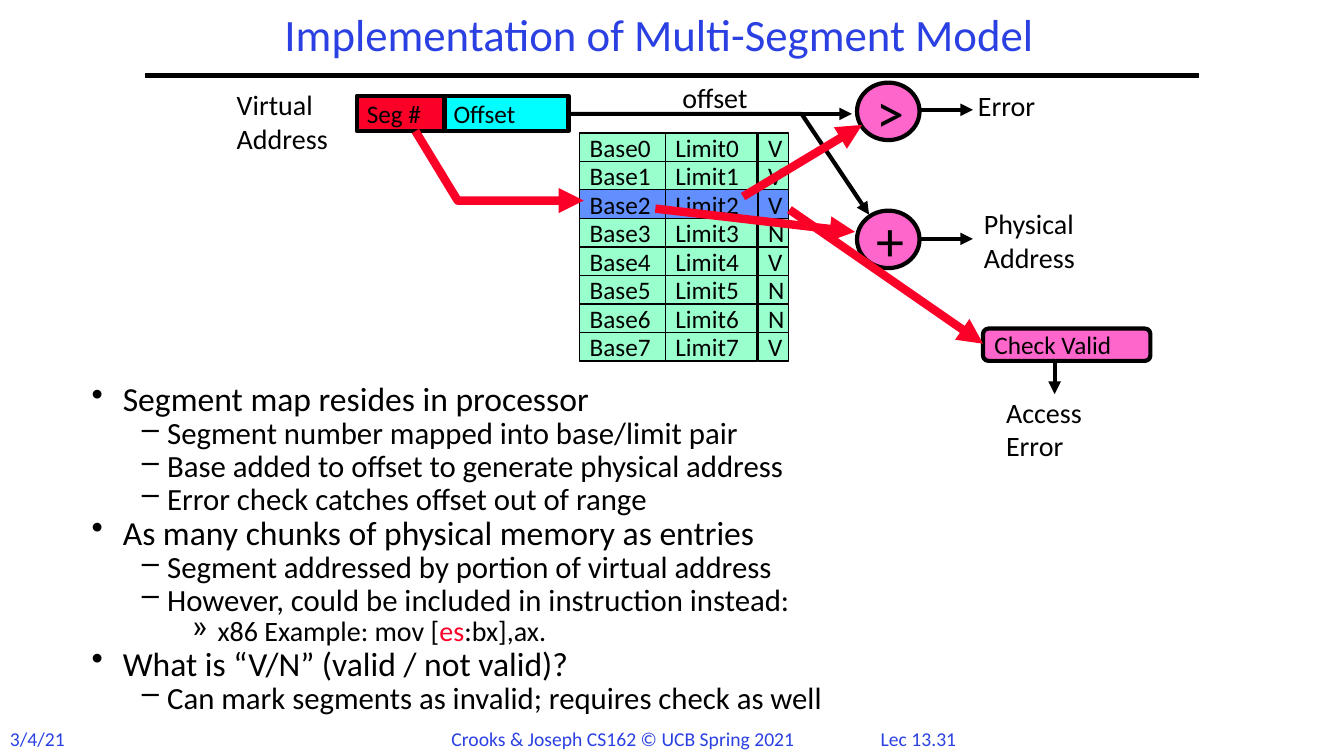
from pptx import Presentation
from pptx.dml.color import RGBColor
from pptx.enum.shapes import MSO_CONNECTOR, MSO_SHAPE
from pptx.enum.text import MSO_ANCHOR, MSO_AUTO_SIZE, PP_ALIGN
from pptx.oxml.ns import qn
from pptx.util import Inches, Pt
from lxml.etree import SubElement

BLACK = RGBColor(0x00, 0x00, 0x00)
BLUE = RGBColor(0x2A, 0x40, 0xE2)
RED = RGBColor(0xFC, 0x01, 0x28)
CYAN = RGBColor(0x00, 0xFF, 0xFF)
PINK = RGBColor(0xFF, 0x66, 0xCC)
MINT = RGBColor(0x99, 0xFF, 0xCC)
SELECTED = RGBColor(0x61, 0x8F, 0xFD)

FONT = "Calibri"

# Bullet, font size, left margin and hanging indent for each outline level
LEVELS = [("•", 24, 0.31, 0.31), ("–", 22, 0.75, 0.25), ("»", 20, 1.25, 0.25)]

# Outline level, then spans of text with their colour
OUTLINE = [
    (0, [("Segment map resides in processor", BLACK)]),
    (1, [("Segment number mapped into base/limit pair", BLACK)]),
    (1, [("Base added to offset to generate physical address", BLACK)]),
    (1, [("Error check catches offset out of range", BLACK)]),
    (0, [("As many chunks of physical memory as entries", BLACK)]),
    (1, [("Segment addressed by portion of virtual address", BLACK)]),
    (1, [("However, could be included in instruction instead:", BLACK)]),
    (2, [("x86 Example: mov [", BLACK), ("es", RED), (":bx],ax.", BLACK)]),
    (0, [("What is “V/N” (valid / not valid)?", BLACK)]),
    (1, [("Can mark segments as invalid; requires check as well", BLACK)]),
]


def apply_format(target, values):
    for name, value in values.items():
        setattr(target, name, value)


def add_span(para, text, size, color):
    span = para.add_run()
    span.text = text
    apply_format(span.font, {"name": FONT, "size": Pt(size)})
    span.font.color.rgb = color


def set_frame(frame, wrap, anchor):
    apply_format(frame, {
        "word_wrap": wrap, "vertical_anchor": anchor,
        "margin_left": Inches(0.1), "margin_right": Inches(0.1),
        "margin_top": Inches(0.05), "margin_bottom": Inches(0.05),
    })


def add_label(page, place, lines, size=20, color=BLACK, align=PP_ALIGN.LEFT,
              wrap=False, anchor=MSO_ANCHOR.TOP, spacing=1.0):
    box = page.shapes.add_textbox(*map(Inches, place))
    set_frame(box.text_frame, wrap, anchor)
    if anchor == MSO_ANCHOR.TOP:
        box.text_frame.auto_size = MSO_AUTO_SIZE.SHAPE_TO_FIT_TEXT
    for index, line in enumerate(lines):
        para = box.text_frame.add_paragraph() if index else box.text_frame.paragraphs[0]
        apply_format(para, {"alignment": align, "line_spacing": spacing})
        add_span(para, line, size, color)


def add_block(page, kind, place, text, fill, size=18, border=3):
    block = page.shapes.add_shape(kind, *map(Inches, place))
    block.shadow.inherit = False
    block.fill.solid()
    block.fill.fore_color.rgb = fill
    block.line.color.rgb = BLACK
    block.line.width = Pt(border)
    set_frame(block.text_frame, False, MSO_ANCHOR.MIDDLE)
    para = block.text_frame.paragraphs[0]
    para.alignment = PP_ALIGN.LEFT
    add_span(para, text, size, BLACK)


def style_line(shape, color, width, arrow=True):
    shape.line.color.rgb = color
    shape.line.width = Pt(width)
    if arrow:
        outline = shape.line._get_or_add_ln()
        SubElement(outline, qn("a:tailEnd"), type="triangle")


def add_line(page, start, end, color=BLACK, width=3, arrow=True):
    line = page.shapes.add_connector(MSO_CONNECTOR.STRAIGHT, *map(Inches, start + end))
    style_line(line, color, width, arrow)
    SubElement(line._element.spPr, qn("a:effectLst"))


def add_bent_arrow(page, points, color, width):
    corners = [tuple(map(Inches, point)) for point in points]
    builder = page.shapes.build_freeform(*corners[0])
    builder.add_line_segments(corners[1:], close=False)
    arrow = builder.convert_to_shape()
    arrow.shadow.inherit = False
    arrow.fill.background()
    style_line(arrow, color, width)


def add_outline(page):
    box = page.shapes.add_textbox(*map(Inches, (0.81, 3.78, 11.19, 3.5)))
    set_frame(box.text_frame, True, MSO_ANCHOR.TOP)
    for index, (level, spans) in enumerate(OUTLINE):
        para = box.text_frame.add_paragraph() if index else box.text_frame.paragraphs[0]
        bullet, size, margin, hang = LEVELS[level]
        properties = para._p.get_or_add_pPr()
        properties.set("marL", str(Inches(margin)))
        properties.set("indent", str(-Inches(hang)))
        SubElement(properties, qn("a:buChar"), char=bullet)
        apply_format(para, {
            "level": level, "line_spacing": 0.8,
            "space_before": Pt(size * 0.1 if index else 0),
        })
        for text, color in spans:
            add_span(para, text, size, color)


def add_segment_map(page):
    top, row_height = 1.32, 2.26 / 8
    for row, valid in enumerate("VVVNVNNV"):
        chosen = row == 2
        cells = [(5.75, 0.85, f"Base{row}"), (6.6, 0.91, f"Limit{row}"), (7.52, 0.3, valid)]
        for left, width, text in cells:
            add_block(page, MSO_SHAPE.RECTANGLE,
                      (left, top + row * row_height, width, row_height), text,
                      SELECTED if chosen else MINT, border=0.75 if chosen else 1)


def main():
    deck = Presentation()
    apply_format(deck, {"slide_width": Inches(13.33), "slide_height": Inches(7.5)})
    page = deck.slides.add_slide(deck.slide_layouts[6])

    # Title, rule and footer
    add_line(page, (1.44, 0.75), (11.89, 0.75), arrow=False)
    add_label(page, (2.08, 0.08, 8.92, 0.58), ["Implementation of Multi-Segment Model"],
              32, BLUE, PP_ALIGN.CENTER, True, MSO_ANCHOR.MIDDLE, 0.9)
    add_label(page, (8.5, 7.16, 1.22, 0.33), ["Lec 13.31"], 14, BLUE, PP_ALIGN.CENTER, True)
    add_label(page, (0, 7.16, 0.8, 0.34), ["3/4/21"], 14, BLUE, wrap=True)
    add_label(page, (4.38, 7.16, 3.76, 0.34),
              ["Crooks & Joseph CS162 © UCB Spring 2021"], 14, BLUE, wrap=True)

    # Explanation
    add_outline(page)

    # Segment map and virtual address
    add_segment_map(page)
    add_block(page, MSO_SHAPE.RECTANGLE, (4.4, 0.95, 1.24, 0.35), "Offset", CYAN)
    add_block(page, MSO_SHAPE.RECTANGLE, (3.54, 0.95, 0.87, 0.35), "Seg #", RED)
    add_label(page, (2.25, 0.82, 1.23, 0.77), ["Virtual", "Address"])

    # Adding the base gives the physical address
    add_bent_arrow(page, [(5.62, 1.13), (7.95, 1.13), (8.62, 2.13)], BLACK, 3)
    add_block(page, MSO_SHAPE.OVAL, (8.5, 2.09, 0.62, 0.57), "+", PINK, 40)
    add_line(page, (6.5, 2.07), (8.48, 2.3), RED, 6)
    add_line(page, (9.1, 2.37), (9.65, 2.37))
    add_label(page, (9.66, 2, 1.34, 0.77), ["Physical", "Address"], wrap=True)

    # Comparing with the limit finds errors
    add_block(page, MSO_SHAPE.OVAL, (8.5, 0.82, 0.62, 0.57), ">", PINK, 40)
    add_line(page, (7.37, 1.95), (8.55, 1.24), RED, 6)
    add_line(page, (9.1, 1.09), (9.65, 1.09))
    add_label(page, (9.6, 0.83, 0.82, 0.43), ["Error"])
    add_line(page, (7.95, 1.13), (8.45, 1.13))

    # Segment number selects a row
    add_bent_arrow(page, [(4.12, 1.3), (4.54, 1.99), (5.79, 1.99)], RED, 6)
    add_label(page, (6.67, 0.75, 0.88, 0.44), ["offset"])

    # Validity check
    add_block(page, MSO_SHAPE.ROUNDED_RECTANGLE, (9.75, 3.26, 1.66, 0.32), "Check Valid", PINK)
    add_line(page, (7.83, 2.08), (9.75, 3.41), RED, 6)
    add_label(page, (9.88, 3.87, 1.1, 0.77), ["Access", "Error"])
    add_line(page, (10.46, 3.57), (10.46, 3.91))

    deck.save("out.pptx")


if __name__ == "__main__":
    main()
